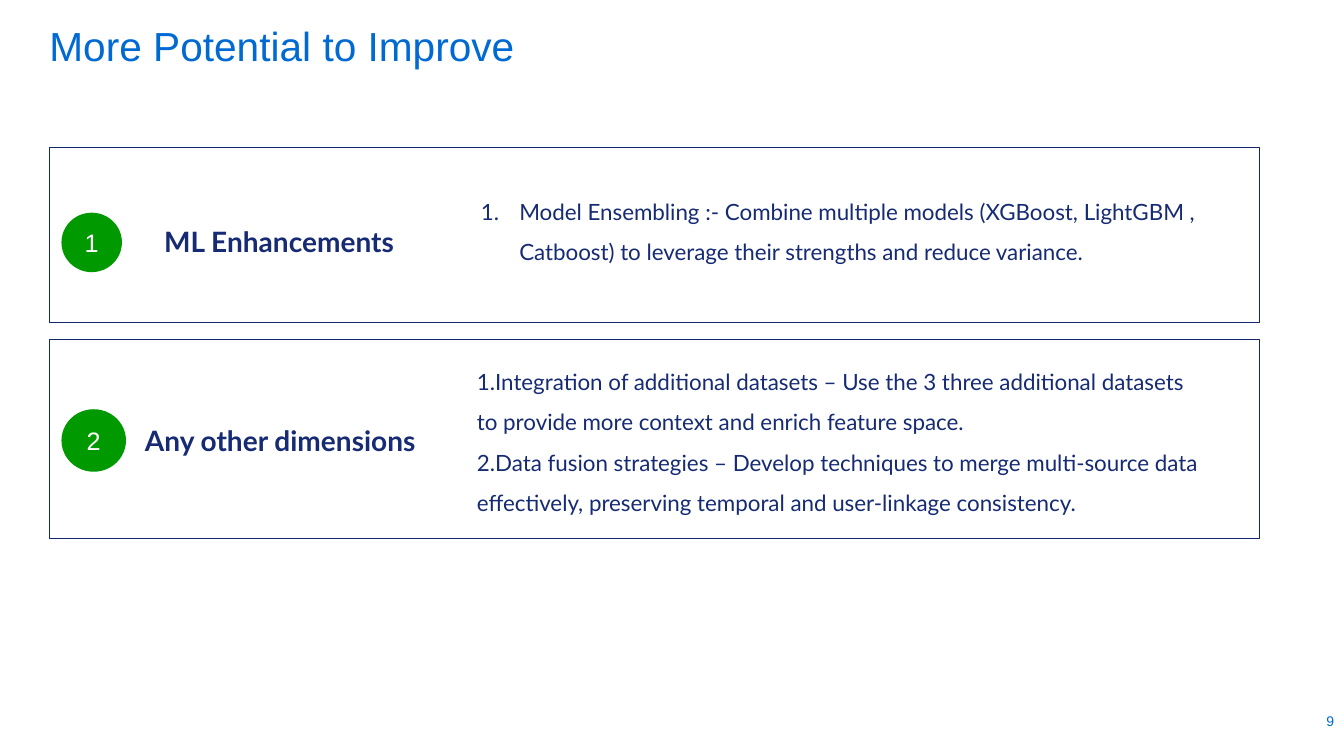
from lxml.etree import SubElement
from pptx import Presentation
from pptx.dml.color import RGBColor
from pptx.enum.shapes import MSO_SHAPE
from pptx.enum.text import MSO_ANCHOR, MSO_AUTO_SIZE, PP_ALIGN
from pptx.oxml.ns import qn
from pptx.util import Pt

PX = 9144  # EMU per px, 100 px to the inch
BLUE = RGBColor(0x00, 0x6A, 0xD2)
NAVY = RGBColor(0x16, 0x2B, 0x73)
BORDER = RGBColor(0x13, 0x27, 0x6E)
GREEN = RGBColor(0x00, 0x99, 0x00)
WHITE = RGBColor(0xFF, 0xFF, 0xFF)


def px(*lengths):
    return [length * PX for length in lengths]


def write(shape, lines, font, size, color, align=PP_ALIGN.LEFT, bold=False,
          spacing=None, margin=None, anchor=MSO_ANCHOR.TOP):
    """Fill a shape with one uniformly formatted paragraph per line."""
    frame = shape.text_frame
    frame.text = "\n".join(lines)
    frame.word_wrap = True
    frame.auto_size = MSO_AUTO_SIZE.NONE
    frame.vertical_anchor = anchor
    if margin is not None:
        frame.margin_left = frame.margin_right = margin
        frame.margin_top = frame.margin_bottom = margin
    for para in frame.paragraphs:
        para.alignment = align
        para.line_spacing = spacing
        para.font.name = font
        para.font.size = Pt(size)
        para.font.bold = bold
        para.font.color.rgb = color


deck = Presentation()
deck.slide_width, deck.slide_height = px(1333, 750)
page = deck.slides.add_slide(deck.slide_layouts[5])
shapes = page.shapes

title = shapes.title
title.left, title.top, title.width, title.height = px(49, 29, 1200, 44)
write(title, ["More Potential to Improve"], "Arial", 29, BLUE,
      spacing=0.82, margin=0)

page_number = shapes.add_textbox(*px(1218, 699, 115, 33))
write(page_number, ["9"], "Arial", 10, BLUE, PP_ALIGN.RIGHT,
      anchor=MSO_ANCHOR.MIDDLE)

# frame, badge, heading and body areas are (left, top, width, height)
sections = [
    {
        "frame": (49, 146, 1200, 174),
        "badge": (61, 211, 60, 59),
        "heading": (153, 218, 375, 44),
        "heading_text": "ML Enhancements",
        "align": PP_ALIGN.LEFT,
        "body": (477, 183, 722, 117),
        "lines": ["Model Ensembling :- Combine multiple models (XGBoost, LightGBM , "
                  "Catboost) to leverage their strengths and reduce variance."],
        "numbered": True,
    },
    {
        "frame": (49, 337, 1200, 197),
        "badge": (61, 406, 64, 62),
        "heading": (63, 415, 430, 44),
        "heading_text": "Any other dimensions",
        "align": PP_ALIGN.CENTER,
        "body": (473, 352, 722, 157),
        "lines": ["1.Integration of additional datasets – Use the 3 three additional "
                  "datasets to provide more context and enrich feature space.",
                  "2.Data fusion strategies – Develop techniques to merge multi-source "
                  "data effectively, preserving temporal and user-linkage consistency."],
        "numbered": False,
    },
]

for number, section in enumerate(sections, start=1):
    frame_box = shapes.add_shape(MSO_SHAPE.RECTANGLE, *px(*section["frame"]))
    frame_box.shadow.inherit = False
    frame_box.fill.background()
    frame_box.line.color.rgb = BORDER
    frame_box.line.width = Pt(0.75)

    heading = shapes.add_textbox(*px(*section["heading"]))
    write(heading, [section["heading_text"]], "Lato", 20, NAVY,
          section["align"], bold=True)

    body = shapes.add_textbox(*px(*section["body"]))
    write(body, section["lines"], "Lato", 16, NAVY, spacing=1.5, margin=0)
    if section["numbered"]:
        for para in body.text_frame.paragraphs:
            properties = para._p.get_or_add_pPr()
            properties.set("marL", str(38 * PX))
            properties.set("indent", str(-38 * PX))
            numbering = SubElement(properties, qn("a:buAutoNum"), type="arabicPeriod")
            properties.find(qn("a:lnSpc")).addnext(numbering)

    badge = shapes.add_shape(MSO_SHAPE.OVAL, *px(*section["badge"]))
    badge.shadow.inherit = False
    badge.fill.solid()
    badge.fill.fore_color.rgb = GREEN
    badge.line.fill.background()
    write(badge, [str(number)], "Arial", 18, WHITE, PP_ALIGN.CENTER,
          anchor=MSO_ANCHOR.MIDDLE)

deck.save("out.pptx")
